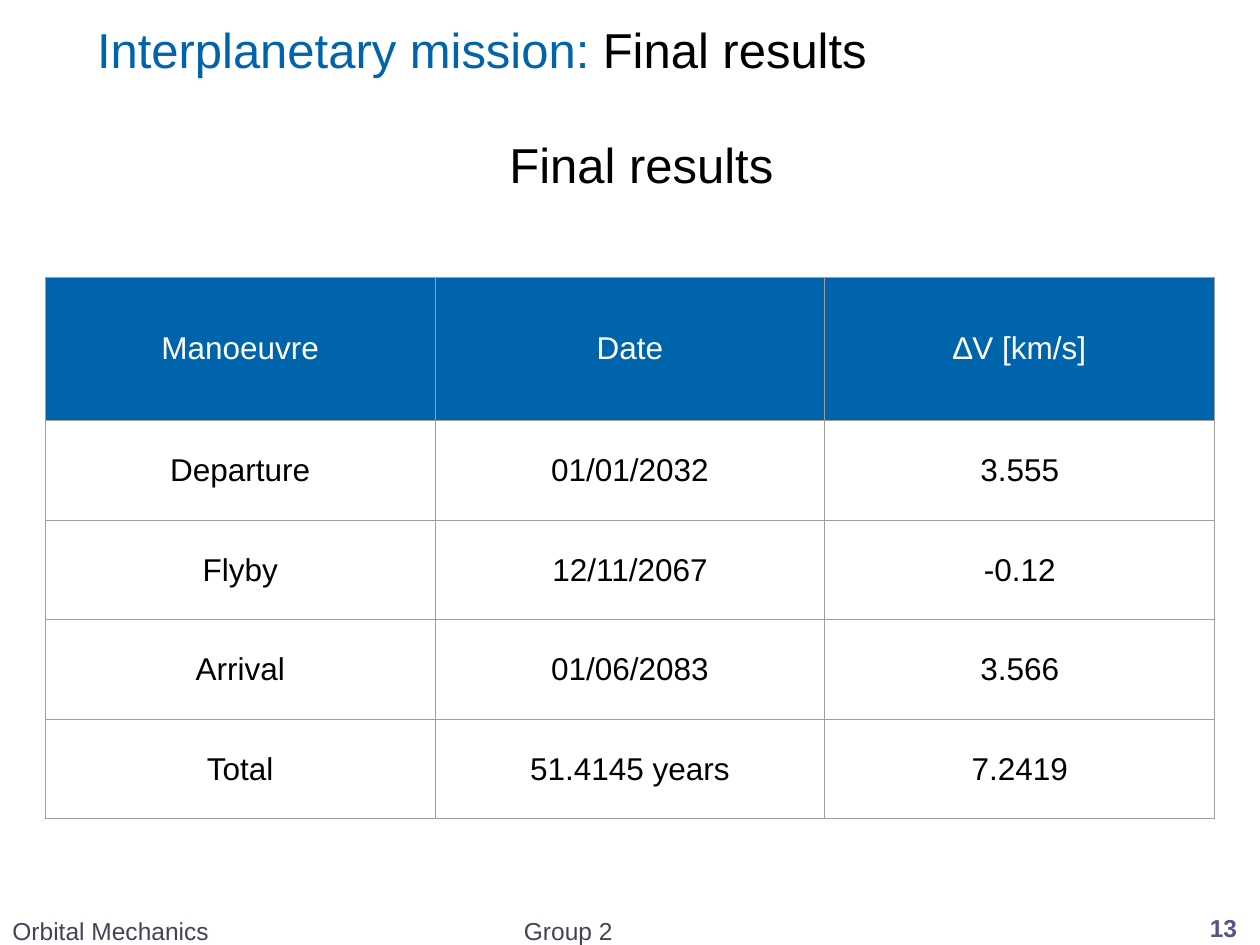
import pptx
import pptx.dml.color
import pptx.enum.text
import pptx.oxml
import pptx.oxml.ns
import pptx.util

BLUE = pptx.dml.color.RGBColor(0x00, 0x64, 0xAC)
BLACK = pptx.dml.color.RGBColor(0x00, 0x00, 0x00)
WHITE = pptx.dml.color.RGBColor(0xFF, 0xFF, 0xFF)
SLATE = pptx.dml.color.RGBColor(0x42, 0x44, 0x56)
VIOLET = pptx.dml.color.RGBColor(0x53, 0x54, 0x8A)
GREY = pptx.dml.color.RGBColor(0x9E, 0x9E, 0x9E)

WIDTH, HEIGHT = 10, 7.5
TABLE_LEFT, TABLE_TOP = 0.36, 2.2
HEADER_HEIGHT, ROW_HEIGHT = 1.14, 0.79

LEFT = pptx.enum.text.PP_ALIGN.LEFT
CENTER = pptx.enum.text.PP_ALIGN.CENTER
TOP = pptx.enum.text.MSO_ANCHOR.TOP
MIDDLE = pptx.enum.text.MSO_ANCHOR.MIDDLE

RESULTS = [
    ("Manoeuvre", "Date", "∆V [km/s]"),
    ("Departure", "01/01/2032", "3.555"),
    ("Flyby", "12/11/2067", "-0.12"),
    ("Arrival", "01/06/2083", "3.566"),
    ("Total", "51.4145 years", "7.2419"),
]


def write_text(frame, *runs, size=14, align=LEFT, bold=False):
    """Fill the first paragraph of a frame with (text, colour) runs."""
    paragraph = frame.paragraphs[0]
    paragraph.alignment = align
    paragraph.space_before = pptx.util.Pt(0)
    for text, color in runs:
        run = paragraph.add_run()
        run.text = text
        run.font.name = "Arial"
        run.font.size = pptx.util.Pt(size)
        run.font.bold = bold
        run.font.color.rgb = color
    return paragraph


def place(shape, left, top, width, height, anchor=MIDDLE):
    """Set the box of a shape in inches and return its text frame."""
    shape.left, shape.top = pptx.util.Inches(left), pptx.util.Inches(top)
    shape.width, shape.height = pptx.util.Inches(width), pptx.util.Inches(height)
    frame = shape.text_frame
    frame.word_wrap = True
    frame.auto_size = pptx.enum.text.MSO_AUTO_SIZE.NONE
    frame.vertical_anchor = anchor
    return frame


def add_headings(slide):
    """Write the title and the centred heading in their placeholders."""
    title = place(slide.shapes.title, 0.67, 0, 7.93, 0.78)
    write_text(title, ("Interplanetary mission: ", BLUE), ("Final results", BLACK), size=28)
    body = place(slide.placeholders[1], 0.16, 1.02, 9.69, 6.09, anchor=TOP)
    paragraph = write_text(body, ("Final results", BLACK), size=28, align=CENTER)
    properties = paragraph._p.get_or_add_pPr()
    properties.set("marL", str(pptx.util.Inches(0.17)))
    properties.set("indent", "0")
    properties.append(pptx.oxml.parse_xml(f"<a:buNone {pptx.oxml.ns.nsdecls('a')}/>"))


def add_borders(cell):
    """Draw a thin grey line on each side of a cell."""
    properties = cell._tc.get_or_add_tcPr()
    for index, side in enumerate(("lnL", "lnR", "lnT", "lnB")):
        line = pptx.oxml.parse_xml(
            f'<a:{side} {pptx.oxml.ns.nsdecls("a")} w="{pptx.util.Pt(0.75)}">'
            f'<a:solidFill><a:srgbClr val="{GREY}"/></a:solidFill></a:{side}>'
        )
        properties.insert(index, line)


def add_results_table(slide):
    """Add the table of manoeuvres with a blue header row."""
    row_count, column_count = len(RESULTS), len(RESULTS[0])
    frame = slide.shapes.add_table(
        row_count,
        column_count,
        pptx.util.Inches(TABLE_LEFT),
        pptx.util.Inches(TABLE_TOP),
        pptx.util.Inches(WIDTH - 2 * TABLE_LEFT),
        pptx.util.Inches(HEADER_HEIGHT + (row_count - 1) * ROW_HEIGHT),
    )
    table = frame.table
    table.horz_banding = False
    for row_index, values in enumerate(RESULTS):
        is_header = row_index == 0
        table.rows[row_index].height = pptx.util.Inches(HEADER_HEIGHT if is_header else ROW_HEIGHT)
        for column_index, value in enumerate(values):
            cell = table.cell(row_index, column_index)
            cell.vertical_anchor = MIDDLE
            cell.margin_left = cell.margin_right = pptx.util.Inches(0.1)
            cell.margin_top = cell.margin_bottom = pptx.util.Inches(0.1)
            if is_header:
                cell.fill.solid()
                cell.fill.fore_color.rgb = BLUE
            else:
                cell.fill.background()
            color = WHITE if is_header else BLACK
            write_text(cell.text_frame, (value, color), size=18, align=CENTER)
            add_borders(cell)


def add_footer(slide, text, left, width, height, color=SLATE, **text_format):
    """Add a text box that stands on the bottom edge of the slide."""
    box = slide.shapes.add_textbox(0, 0, 0, 0)
    frame = place(box, left, HEIGHT - height, width, height)
    write_text(frame, (text, color), **text_format)


def main():
    """Build the slide and save it."""
    presentation = pptx.Presentation()
    presentation.slide_width = pptx.util.Inches(WIDTH)
    presentation.slide_height = pptx.util.Inches(HEIGHT)
    slide = presentation.slides.add_slide(presentation.slide_layouts[1])
    add_headings(slide)
    add_results_table(slide)
    add_footer(slide, "Group 2", 4.06, 1.33, 0.23)
    add_footer(slide, "Orbital Mechanics", 0, 3.98, 0.23)
    add_footer(slide, "13", 9.42, 0.58, 0.27, color=VIOLET, align=CENTER, bold=True)
    presentation.save("out.pptx")


if __name__ == "__main__":
    main()
